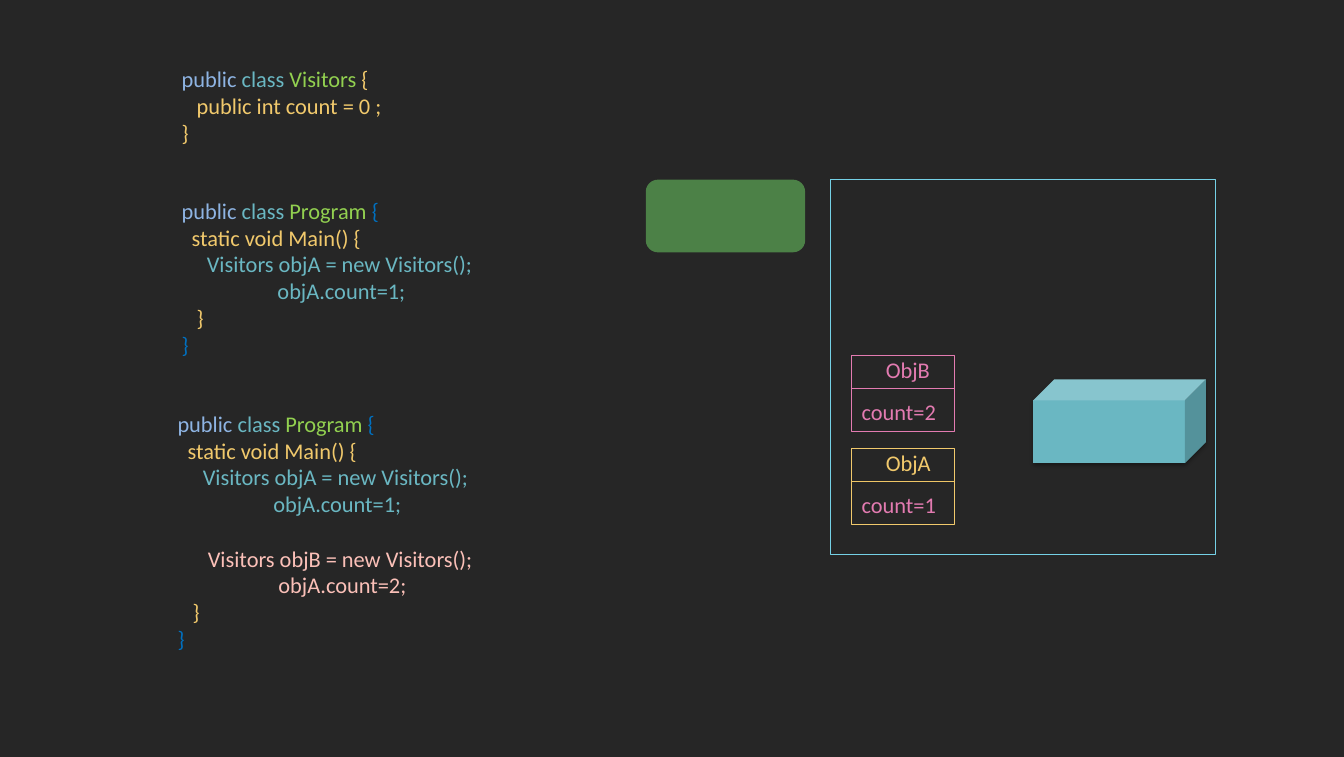
from lxml import etree
from pptx import Presentation
from pptx.dml.color import RGBColor
from pptx.enum.shapes import MSO_CONNECTOR, MSO_SHAPE
from pptx.enum.text import MSO_ANCHOR, MSO_AUTO_SIZE
from pptx.oxml import parse_xml
from pptx.oxml.ns import nsdecls, qn
from pptx.util import Inches, Pt

COLORS = {
    "background": "262626", "access": "8EB4E3", "teal": "6AB7C2", "type": "92D050",
    "gold": "F1C96C", "blue": "0070C0", "salmon": "FBC0B8", "pink": "E37BB1",
    "heap": "75D1E6", "divider": "EFC666", "green": "73DC69",
}
FONT = "Calibri"
FONT_SIZE = Pt(16)
LINE_WIDTH = Pt(0.75)
LINE_GAP = Pt(19.5)  # height of one code line

# Code listings: each line is a list of (text, color) pieces
VISITORS = [
    [("public ", "access"), ("class ", "teal"), ("Visitors", "type"), (" {", "gold")],
    [("   public int count = 0 ;", "gold")],
    [("}", "gold")],
]
PROGRAM_START = [
    [("public ", "access"), ("class ", "teal"), ("Program ", "type"), ("{", "blue")],
    [("  static void Main() {", "gold")],
    [("     Visitors objA = new Visitors();", "teal")],
    [("                   objA.count=1;", "teal")],
]
SECOND_OBJECT = [
    [("      Visitors objB = new Visitors();", "salmon")],
    [("                    objA.count=2;", "salmon")],
]
PROGRAM_END = [[("   }", "gold")], [("}", "blue")]]


def rgb(name):
    return RGBColor.from_string(COLORS[name])


def add_text(slide, left, top, width, height, lines, wrap=False):
    """Place lines of colored pieces in a text box and return its paragraphs."""
    box = slide.shapes.add_textbox(Inches(left), Inches(top), Inches(width), Inches(height))
    frame = box.text_frame
    frame.word_wrap = wrap
    frame.auto_size = MSO_AUTO_SIZE.SHAPE_TO_FIT_TEXT
    frame.vertical_anchor = MSO_ANCHOR.TOP
    frame.margin_left = frame.margin_right = Inches(0.05)
    frame.margin_top = frame.margin_bottom = Inches(0.05)
    for index, line in enumerate(lines):
        paragraph = frame.add_paragraph() if index else frame.paragraphs[0]
        for text, color in line:
            run = paragraph.add_run()
            run.text = text
            run.font.name = FONT
            run.font.size = FONT_SIZE
            run.font.color.rgb = rgb(color)
    return frame.paragraphs


def add_shape(slide, kind, left, top, width, height, fill=None, line=None):
    shape = slide.shapes.add_shape(
        kind, Inches(left), Inches(top), Inches(width), Inches(height))
    shape.shadow.inherit = False
    if fill:
        shape.fill.solid()
        shape.fill.fore_color.rgb = rgb(fill)
    else:
        shape.fill.background()
    if line:
        shape.line.color.rgb = rgb(line)
        shape.line.width = LINE_WIDTH
    else:
        shape.line.fill.background()
    return shape


def add_code(slide):
    """Left side: the class and the two versions of the program."""
    add_text(slide, 1.75, 0.6, 2.1, 0.88, VISITORS)
    add_text(slide, 1.75, 1.9, 3, 1.72, PROGRAM_START + PROGRAM_END)
    program = add_text(slide, 1.71, 4.01, 3.04, 2.55,
                       PROGRAM_START + SECOND_OBJECT + PROGRAM_END)
    program[len(PROGRAM_START)].space_before = LINE_GAP


def add_object(slide, left, top, name, count, color, divider_color):
    """One object: its name above a divider, its count below."""
    width, divider_drop = 1.02, 0.33
    add_shape(slide, MSO_SHAPE.RECTANGLE, left, top, width, 0.76, line=color)
    divider_y = Inches(top + divider_drop)
    divider = slide.shapes.add_connector(
        MSO_CONNECTOR.STRAIGHT, Inches(left), divider_y, Inches(left + width), divider_y)
    divider.line.color.rgb = rgb(divider_color)
    divider.line.width = LINE_WIDTH
    etree.SubElement(divider._element.spPr, qn("a:effectLst"))
    add_text(slide, left + 0.29, top - 0.04, 0.56, 0.33, [[(name, color)]])
    add_text(slide, left + 0.05, top + 0.38, 1.09, 0.33,
             [[(f"count={count}", "pink")]], wrap=True)


def add_cube(slide, left, top):
    cube = add_shape(slide, MSO_SHAPE.CUBE, left, top, 1.71, 0.83, fill="teal")
    cube.adjustments[0] = 0.25
    # Soft shadow straight below
    effects = cube._element.spPr.find(qn("a:effectLst"))
    effects.append(parse_xml(
        f'<a:outerShdw {nsdecls("a")} blurRad="{Pt(3)}" dist="{Pt(1.8)}" dir="5400000" '
        'rotWithShape="0"><a:srgbClr val="000000"><a:alpha val="35000"/></a:srgbClr>'
        '</a:outerShdw>'))


def add_heap(slide, left, top):
    """Right side: the memory frame with the two objects and the cube."""
    add_shape(slide, MSO_SHAPE.RECTANGLE, left, top, 3.82, 3.71, line="heap")
    add_object(slide, left + 0.21, top + 2.66, "ObjA", 1, "gold", "divider")
    add_object(slide, left + 0.21, top + 1.74, "ObjB", 2, "pink", "pink")
    add_cube(slide, left + 2.01, top + 1.98)


def add_green_block(slide, left, top):
    block = add_shape(slide, MSO_SHAPE.ROUNDED_RECTANGLE, left, top, 1.58, 0.72, fill="green")
    block.adjustments[0] = 0.167
    color = block._element.spPr.find(qn("a:solidFill"))[0]
    etree.SubElement(color, qn("a:alpha"), val="50000")


def main():
    deck = Presentation()
    deck.slide_width, deck.slide_height = Inches(13.32), Inches(7.5)
    slide = deck.slides.add_slide(deck.slide_layouts[6])
    slide.background.fill.solid()
    slide.background.fill.fore_color.rgb = rgb("background")
    add_heap(slide, 8.23, 1.78)
    add_code(slide)
    add_green_block(slide, 6.4, 1.78)
    deck.save("out.pptx")


if __name__ == "__main__":
    main()
